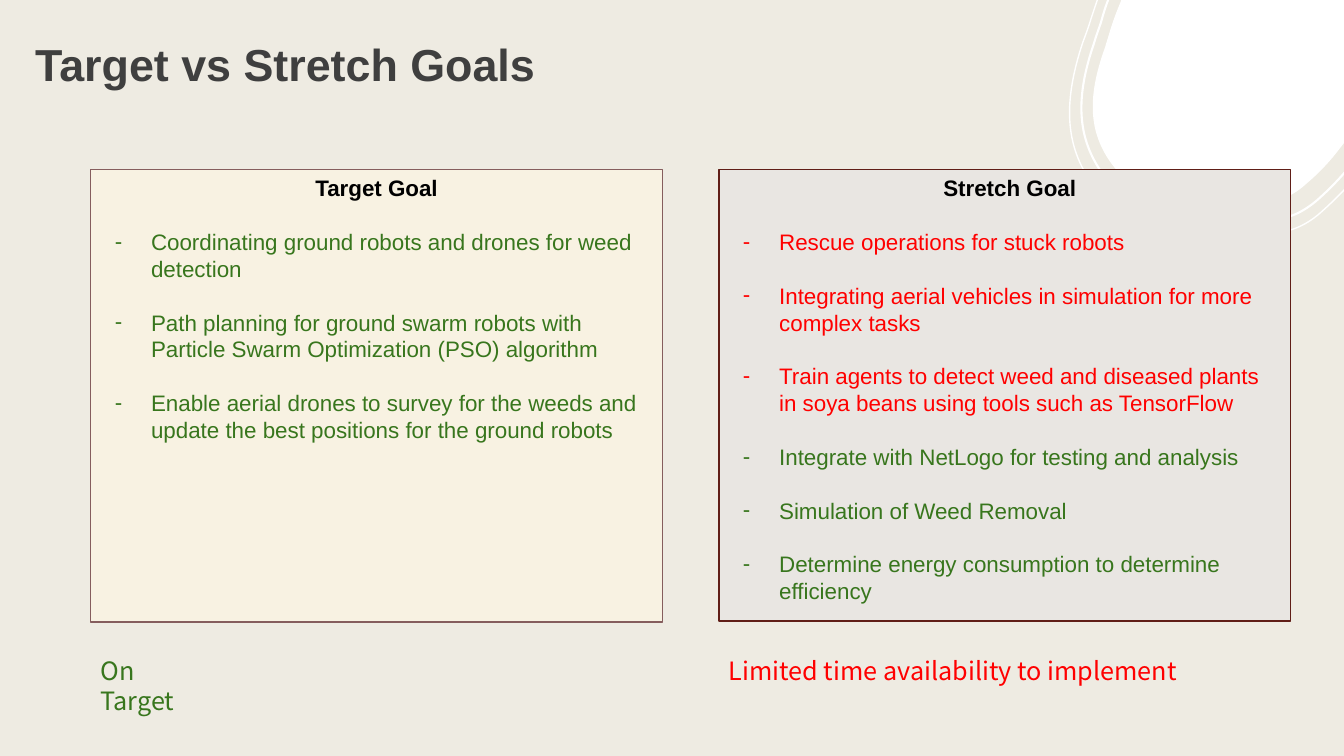
from lxml.etree import SubElement
from pptx import Presentation
from pptx.dml.color import RGBColor
from pptx.enum.shapes import MSO_SHAPE as Preset
from pptx.enum.text import MSO_ANCHOR as Anchor, PP_ALIGN as Align
from pptx.oxml.ns import qn
from pptx.util import Inches, Pt

BACKGROUND = RGBColor(0xEE, 0xEB, 0xE2)
WHITE = RGBColor(0xFF, 0xFF, 0xFF)
BLACK = RGBColor(0, 0, 0)
TITLE_GRAY = RGBColor(0x3F, 0x3F, 0x3F)
CREAM = RGBColor(0xF8, 0xF2, 0xE2)
CREAM_LINE = RGBColor(0x85, 0x5D, 0x5D)
STONE = RGBColor(0xE9, 0xE6, 0xE2)
STONE_LINE = RGBColor(0x60, 0x1E, 0x17)
GREEN = RGBColor(0x38, 0x76, 0x1D)
RED = RGBColor(0xFF, 0, 0)

LEFT_COLUMN, RIGHT_COLUMN = 0.9, 7.13
ITEM_GAP = Pt(19.2)

TARGET_GOALS = [
    ("Coordinating ground robots and drones for weed detection", GREEN),
    ("Path planning for ground swarm robots with Particle Swarm Optimization (PSO) algorithm", GREEN),
    ("Enable aerial drones to survey for the weeds and update the best positions "
     "for the ground robots", GREEN),
]
STRETCH_GOALS = [
    ("Rescue operations for stuck robots", RED),
    ("Integrating aerial vehicles in simulation for more complex tasks", RED),
    ("Train agents to detect weed and diseased plants in soya beans using tools "
     "such as TensorFlow", RED),
    ("Integrate with NetLogo for testing and analysis", GREEN),
    ("Simulation of Weed Removal", GREEN),
    ("Determine energy consumption to determine efficiency", GREEN),
]

# Outlines in inches: two numbers are a point, six are a Bezier curve
BLOB = [
    (11.12, 0), (13.5, 0), (13.51, 0.01),
    (13.57, 0.12, 13.62, 0.24, 13.64, 0.36), (13.67, 0.51, 13.66, 0.67, 13.62, 0.84),
    (13.56, 1.05, 13.45, 1.27, 13.29, 1.47), (13.2, 1.59, 13.09, 1.71, 12.96, 1.82),
    (12.83, 1.94, 12.69, 2, 12.53, 2.02), (12.35, 2.04, 12.16, 2.01, 11.95, 1.98),
    (11.91, 1.98, 11.87, 1.97, 11.83, 1.97), (11.47, 1.92, 11.22, 1.88, 11.06, 1.67),
    (10.8, 1.35, 10.77, 0.99, 10.96, 0.47), (10.98, 0.4, 11, 0.34, 11.02, 0.27),
    (11.05, 0.18, 11.08, 0.1, 11.11, 0.03), (11.12, 0),
]
INNER_RING = [
    (11.04, -0.13), (13.57, -0.13), (13.64, -0.03),
    (13.72, 0.09, 13.77, 0.22, 13.79, 0.36), (13.83, 0.53, 13.82, 0.71, 13.78, 0.89),
    (13.71, 1.18, 13.55, 1.47, 13.32, 1.73), (13.24, 1.82, 13.16, 1.9, 13.07, 1.98),
    (12.92, 2.11, 12.78, 2.17, 12.59, 2.19), (12.4, 2.21, 12.19, 2.18, 11.96, 2.14),
    (11.92, 2.14, 11.87, 2.13, 11.83, 2.12), (11.43, 2.07, 11.16, 2.01, 10.97, 1.77),
    (10.69, 1.41, 10.65, 1.01, 10.85, 0.43), (10.87, 0.36, 10.9, 0.28, 10.92, 0.22),
    (10.96, 0.07, 11, -0.03, 11.04, -0.12),
]
OUTER_RING = [
    (10.93, -0.13), (13.72, -0.13), (13.75, -0.09),
    (13.83, 0.04, 13.88, 0.18, 13.91, 0.33), (13.95, 0.51, 13.94, 0.71, 13.89, 0.91),
    (13.82, 1.22, 13.64, 1.53, 13.4, 1.81), (13.31, 1.91, 13.22, 2, 13.12, 2.09),
    (12.97, 2.23, 12.81, 2.3, 12.61, 2.32), (12.41, 2.34, 12.18, 2.31, 11.93, 2.27),
    (11.88, 2.26, 11.84, 2.25, 11.79, 2.25), (11.37, 2.19, 11.07, 2.13, 10.87, 1.87),
    (10.57, 1.49, 10.53, 1.05, 10.74, 0.42), (10.77, 0.34, 10.8, 0.26, 10.82, 0.19),
    (10.86, 0.07, 10.89, -0.02, 10.92, -0.1),
]


def bend_segments(shape, box, outline):
    """Fit the freeform to its box and turn its curved sides into Beziers."""
    left, top, width, height = map(Inches, box)
    shape.left, shape.top, shape.width, shape.height = left, top, width, height
    geometry = next(shape._element.iter(qn("a:path")))
    geometry.set("w", str(width))
    geometry.set("h", str(height))
    for side, segment in zip(list(geometry), outline):
        for point in list(side):
            side.remove(point)
        if len(segment) == 6:
            curve = SubElement(geometry, qn("a:cubicBezTo"))
            geometry.replace(side, curve)
            side = curve
        for x, y in zip(segment[::2], segment[1::2]):
            SubElement(side, qn("a:pt"), x=str(Inches(x) - left), y=str(Inches(y) - top))


def add_outline(slide, box, outline, line_width=None):
    """Add a white ring, or a filled blob when there is no line width."""
    corners = [(Inches(segment[-2]), Inches(segment[-1])) for segment in outline]
    builder = slide.shapes.build_freeform(*corners[0])
    builder.add_line_segments(corners[1:], close=True)
    shape = builder.convert_to_shape()
    bend_segments(shape, box, outline)
    shape.shadow.inherit = False
    if line_width:
        shape.fill.background()
        shape.line.color.rgb = WHITE
        shape.line.width = Pt(line_width)
    else:
        shape.fill.solid()
        shape.fill.fore_color.rgb = WHITE
        shape.line.fill.background()


def set_font(paragraph, name, size, color, bold=False):
    font = paragraph.font
    font.name, font.size, font.bold = name, Pt(size), bold
    font.color.rgb = color


def set_indent(paragraph, left, first_line=0):
    properties = paragraph._p.get_or_add_pPr()
    properties.set("marL", str(Inches(left)))
    properties.set("indent", str(Inches(first_line)))
    return properties


def add_dash(paragraph):
    properties = set_indent(paragraph, 0.5, -0.36)
    SubElement(properties, qn("a:buFont"), typeface="Arial")
    SubElement(properties, qn("a:buChar"), char="-")


def add_goal_card(slide, left, height, heading, heading_indent, goals, fill, line):
    card = slide.shapes.add_shape(Preset.RECTANGLE, Inches(left), Inches(1.68),
                                  Inches(5.67), Inches(height))
    card.shadow.inherit = False
    card.fill.solid()
    card.fill.fore_color.rgb = fill
    card.line.color.rgb = line
    card.line.width = Pt(1)
    frame = card.text_frame
    frame.word_wrap = True
    frame.vertical_anchor = Anchor.TOP

    paragraph = frame.paragraphs[0]
    paragraph.text = heading
    paragraph.alignment = Align.CENTER
    set_indent(paragraph, heading_indent)
    set_font(paragraph, "Arial", 16, BLACK, bold=True)
    for goal, color in goals:
        paragraph = frame.add_paragraph()
        paragraph.text = goal
        paragraph.alignment = Align.LEFT
        paragraph.space_before = ITEM_GAP
        add_dash(paragraph)
        set_font(paragraph, "Arial", 16, color)


def add_text(slide, box, text, font, insets, anchor=Anchor.TOP):
    """Add a text box; box is left, top, width, height, insets start at the left."""
    frame = slide.shapes.add_textbox(*map(Inches, box)).text_frame
    frame.word_wrap = True
    frame.vertical_anchor = anchor
    (frame.margin_left, frame.margin_top,
     frame.margin_right, frame.margin_bottom) = map(Inches, insets)
    paragraph = frame.paragraphs[0]
    paragraph.text = text
    set_font(paragraph, *font)


def add_caption(slide, left, width, text, color):
    add_text(slide, (left, 6.4, width, 0.37), text, ("Noto Sans CJK JP", 18, color),
             (0.1, 0.1, 0.1, 0.1))


def main():
    presentation = Presentation()
    presentation.slide_width = Inches(13.33)
    presentation.slide_height = Inches(7.5)
    slide = presentation.slides.add_slide(presentation.slide_layouts[6])
    slide.background.fill.solid()
    slide.background.fill.fore_color.rgb = BACKGROUND

    # Corner decoration
    add_outline(slide, (10.84, 0, 2.82, 2.02), BLOB)
    add_outline(slide, (10.72, -0.13, 3.09, 2.32), INNER_RING, 1.5)
    add_outline(slide, (10.61, -0.13, 3.33, 2.45), OUTER_RING, 1)

    # Goal cards
    add_goal_card(slide, LEFT_COLUMN, 4.49, "Target Goal", 0, TARGET_GOALS, CREAM, CREAM_LINE)
    add_goal_card(slide, RIGHT_COLUMN, 4.48, "Stretch Goal", 0.1, STRETCH_GOALS, STONE, STONE_LINE)

    # Colour key and title
    add_caption(slide, LEFT_COLUMN, 1.25, "On Target", GREEN)
    add_caption(slide, RIGHT_COLUMN, 5.3, "Limited time availability to implement", RED)
    add_text(slide, (0.23, 0.24, 8.63, 0.77), "Target vs Stretch Goals",
             ("Arial", 32, TITLE_GRAY, True), (0.12, 0.12, 0.12, 0.1), Anchor.MIDDLE)

    presentation.save("out.pptx")


if __name__ == "__main__":
    main()
